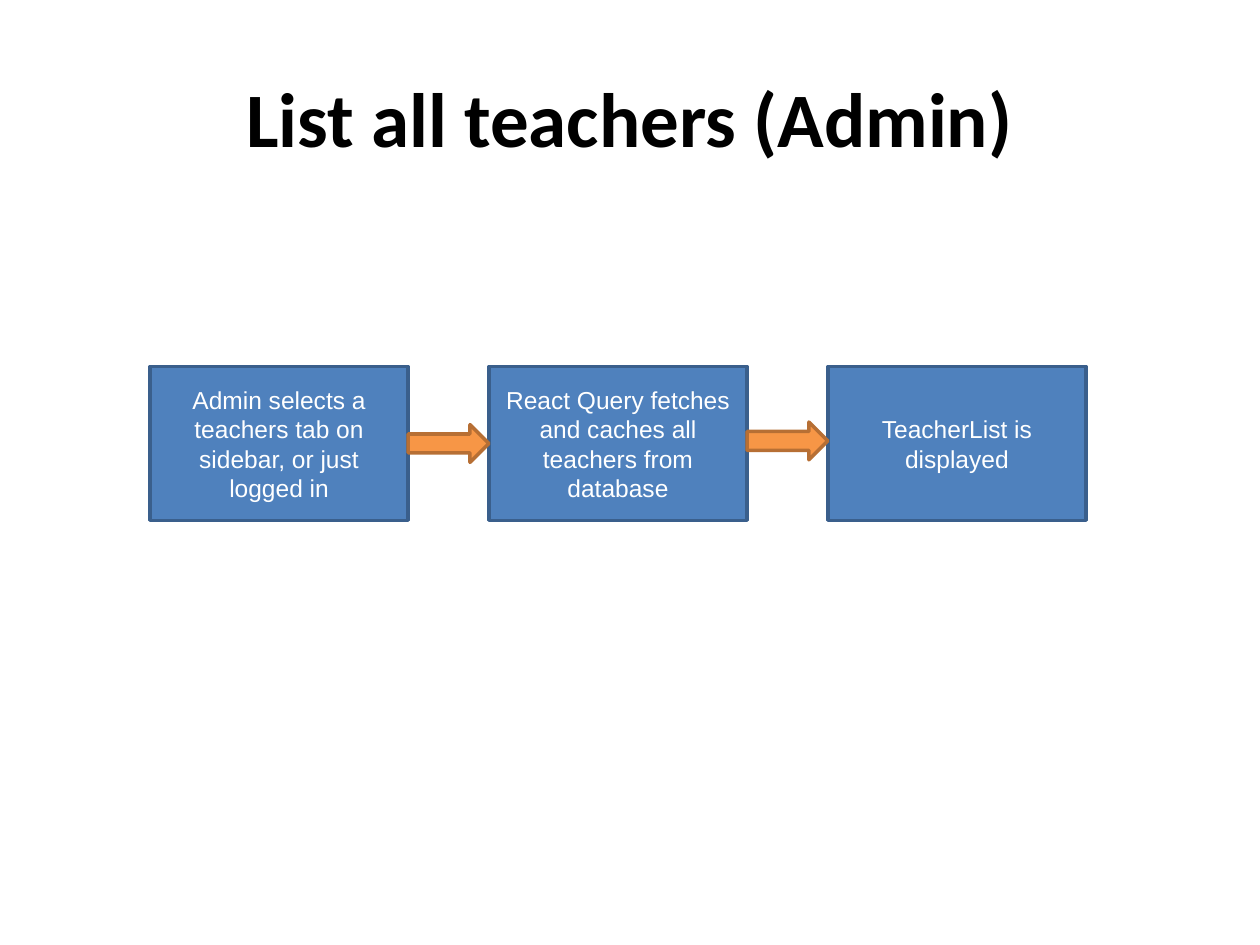
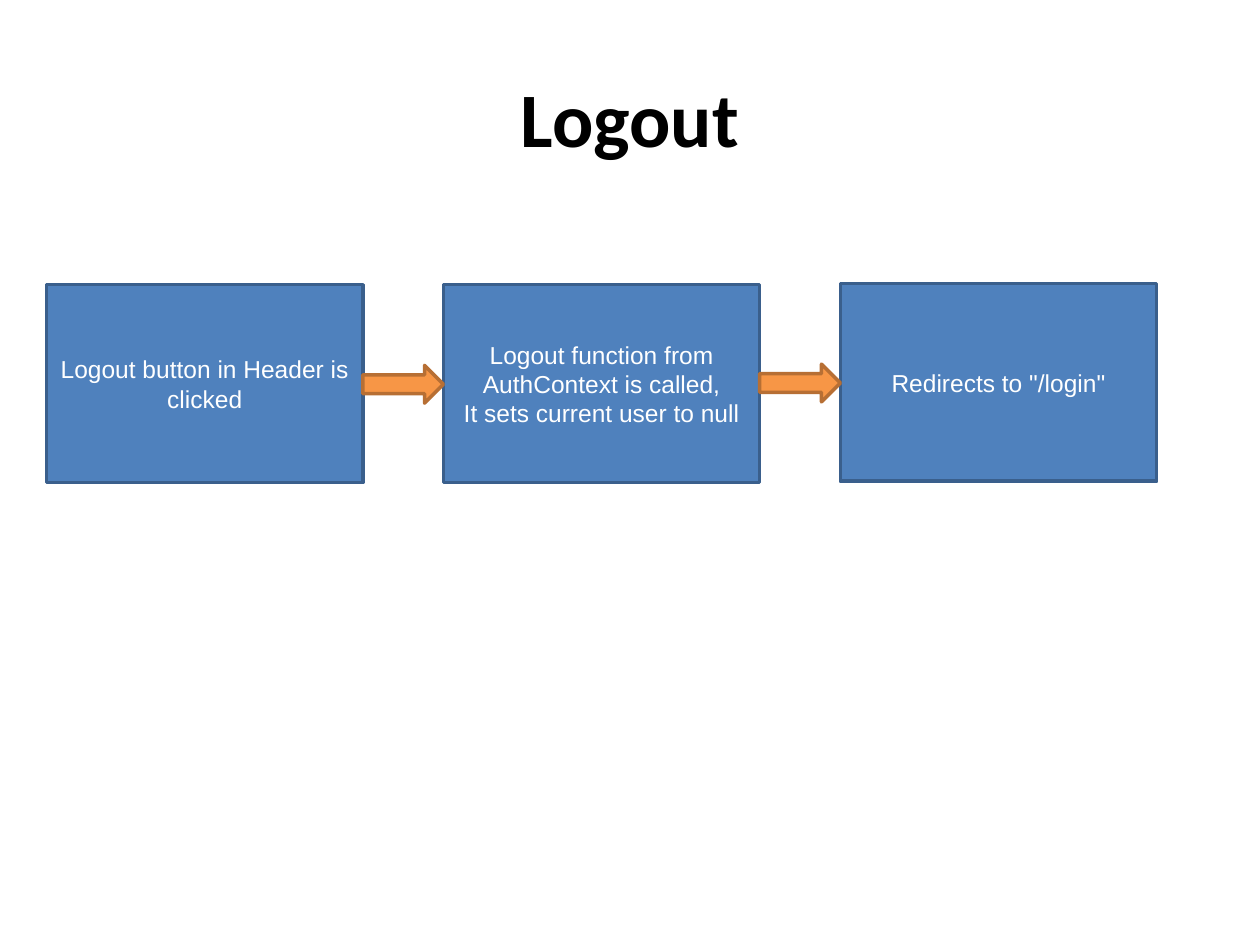
"""Builds two flow slides: listing teachers and logging out."""
from pptx import Presentation
from pptx.dml.color import RGBColor
from pptx.enum.shapes import MSO_SHAPE as SHAPE
from pptx.enum.text import MSO_ANCHOR as ANCHOR, PP_ALIGN as ALIGN
from pptx.util import Inches, Pt

FLOWS = [
    {
        "title": "List all teachers (Admin)",
        "left": 1.19, "box_size": (2.05, 1.22),
        "steps": [
            (2.91, ["Admin selects a teachers tab on sidebar, or just logged in"]),
            (2.91, ["React Query fetches and caches all teachers from database"]),
            (2.91, ["TeacherList is displayed"]),
        ],
        "arrow_tops": [3.37, 3.35],
    },
    {
        "title": "Logout",
        "left": 0.37, "box_size": (2.51, 1.57),
        "steps": [
            (2.26, ["Logout button in Header is clicked"]),
            (2.26, ["Logout function from AuthContext is called,",
                    "It sets current user to null"]),
            (2.25, ['Redirects to "/login"']),
        ],
        "arrow_tops": [2.9, 2.89],
    },
]
BOX_COLORS = ("4F81BD", "3A5F8C")
ARROW_COLORS = ("F79646", "B76F34")
ARROW_W, ARROW_H = 0.64, 0.3


def rgb(color):
    return RGBColor.from_string(color)


def write(sp, lines, font, size, color, bold=False):
    tf = sp.text_frame
    tf.word_wrap = True
    tf.vertical_anchor = ANCHOR.MIDDLE
    for i, line in enumerate(lines):
        p = tf.add_paragraph() if i else tf.paragraphs[0]
        p.alignment = ALIGN.CENTER
        r = p.add_run()
        r.text = line
        r.font.name, r.font.size, r.font.bold = font, Pt(size), bold
        r.font.color.rgb = rgb(color)


def add_block(s, kind, box, colors):
    sp = s.shapes.add_shape(kind, *map(Inches, box))
    sp.shadow.inherit = False
    fill, line = colors
    sp.fill.solid()
    sp.fill.fore_color.rgb = rgb(fill)
    sp.line.color.rgb = rgb(line)
    sp.line.width = Pt(2)
    return sp


def add_flow(prs, flow):
    s = prs.slides.add_slide(prs.slide_layouts[6])
    title = s.shapes.add_textbox(*map(Inches, (0.5, 0.3, 9, 1.25)))
    write(title, [flow["title"]], "Calibri", 44, "000000", bold=True)
    w, h = flow["box_size"]
    lefts = [flow["left"] + i * (w + ARROW_W) for i in range(len(flow["steps"]))]
    for x, (top, lines) in zip(lefts, flow["steps"]):
        sp = add_block(s, SHAPE.RECTANGLE, (x, top, w, h), BOX_COLORS)
        write(sp, lines, "Arial", 14, "FFFFFF")
    for x, top in zip(lefts, flow["arrow_tops"]):
        add_block(s, SHAPE.RIGHT_ARROW, (x + w, top, ARROW_W, ARROW_H), ARROW_COLORS)


def main():
    prs = Presentation()
    prs.slide_width, prs.slide_height = Inches(10), Inches(7.5)
    for flow in FLOWS:
        add_flow(prs, flow)
    prs.save("out.pptx")


if __name__ == "__main__":
    main()
